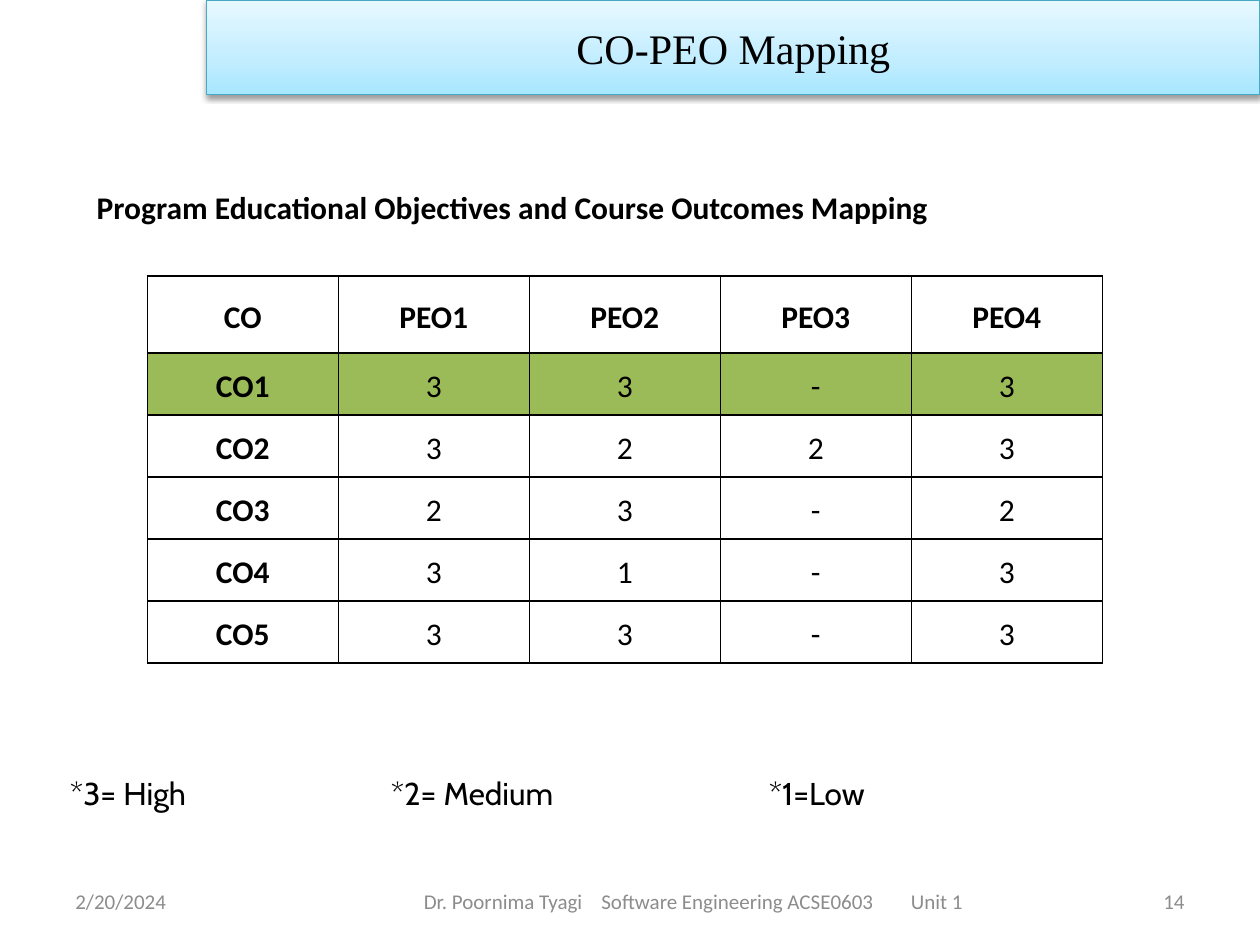
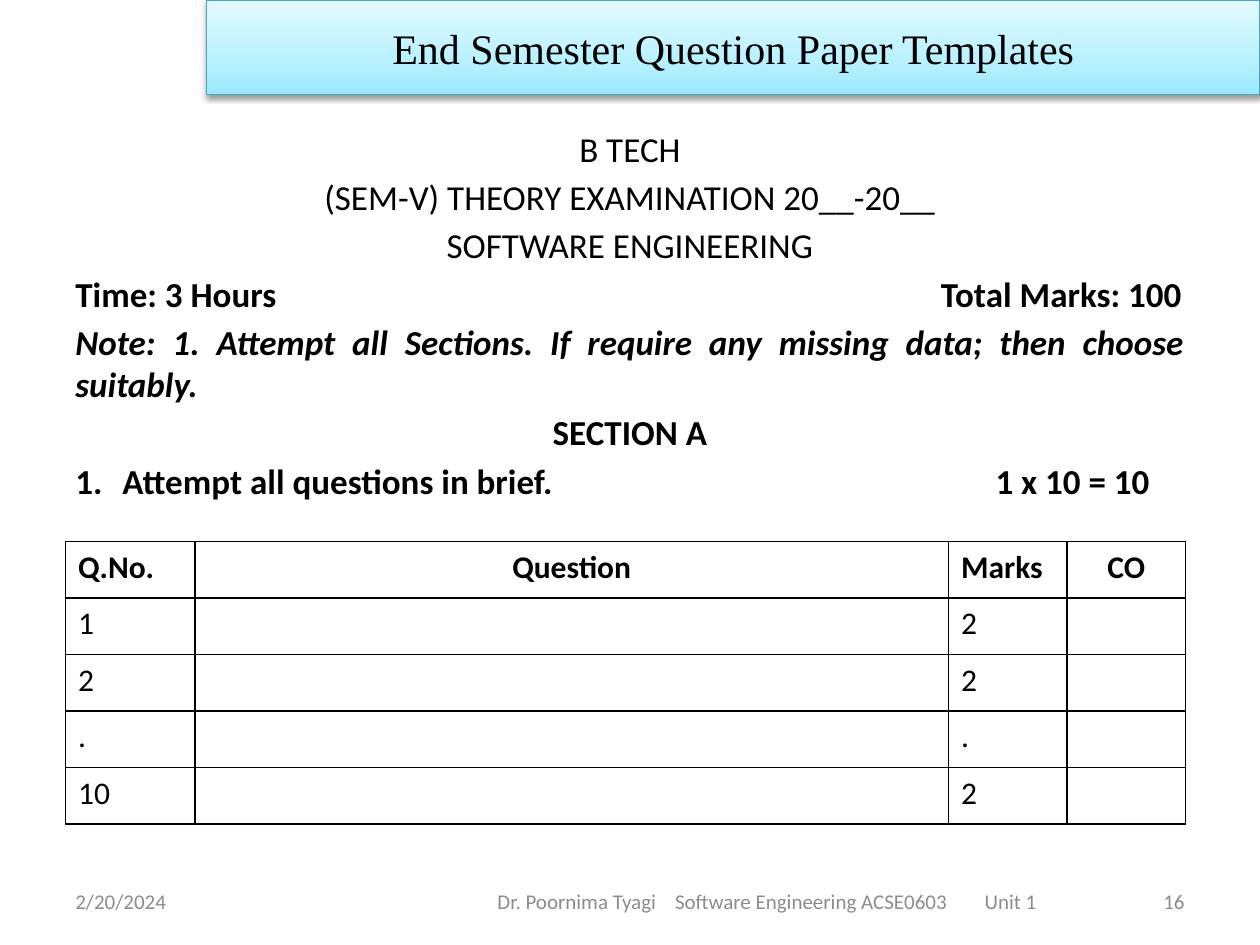
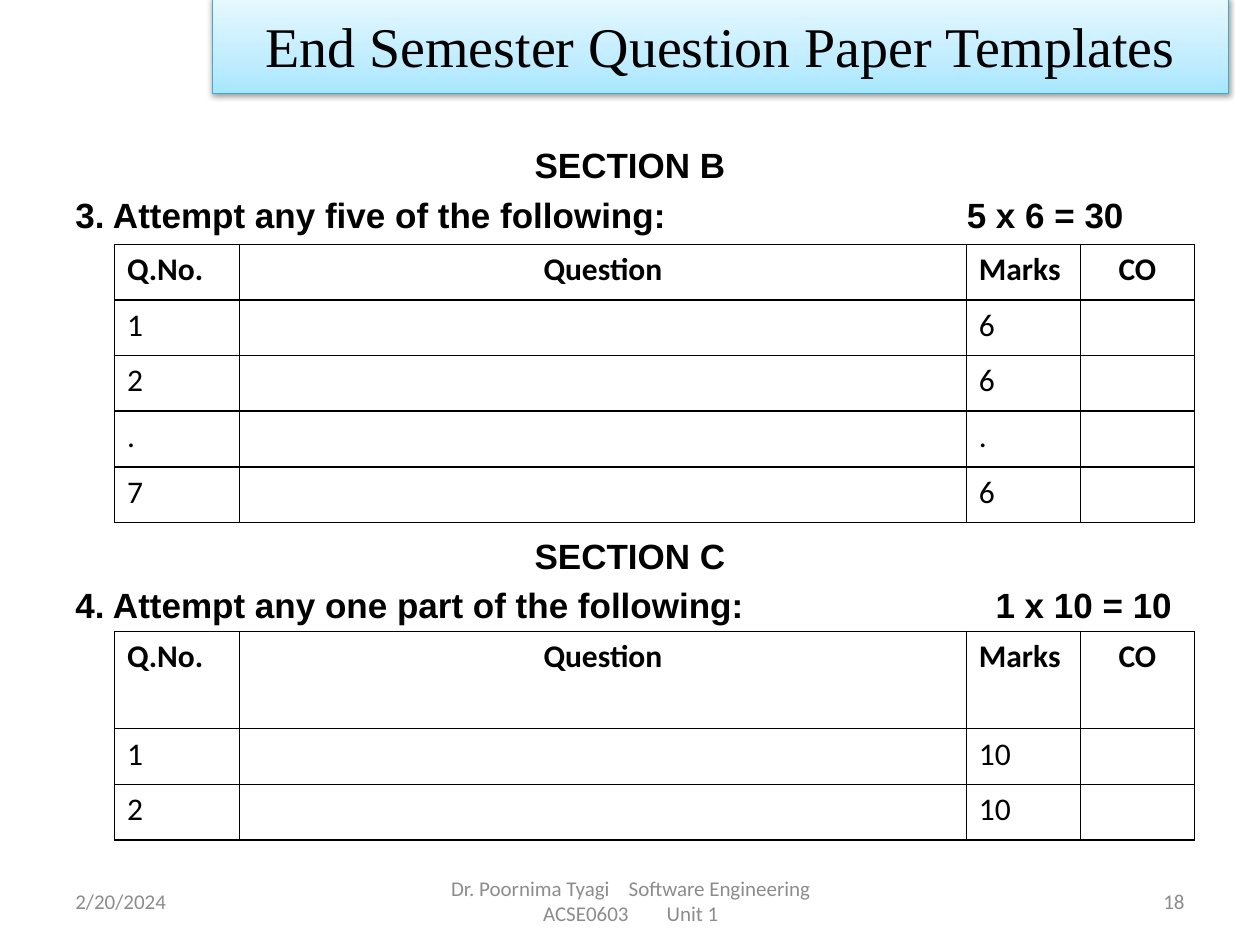
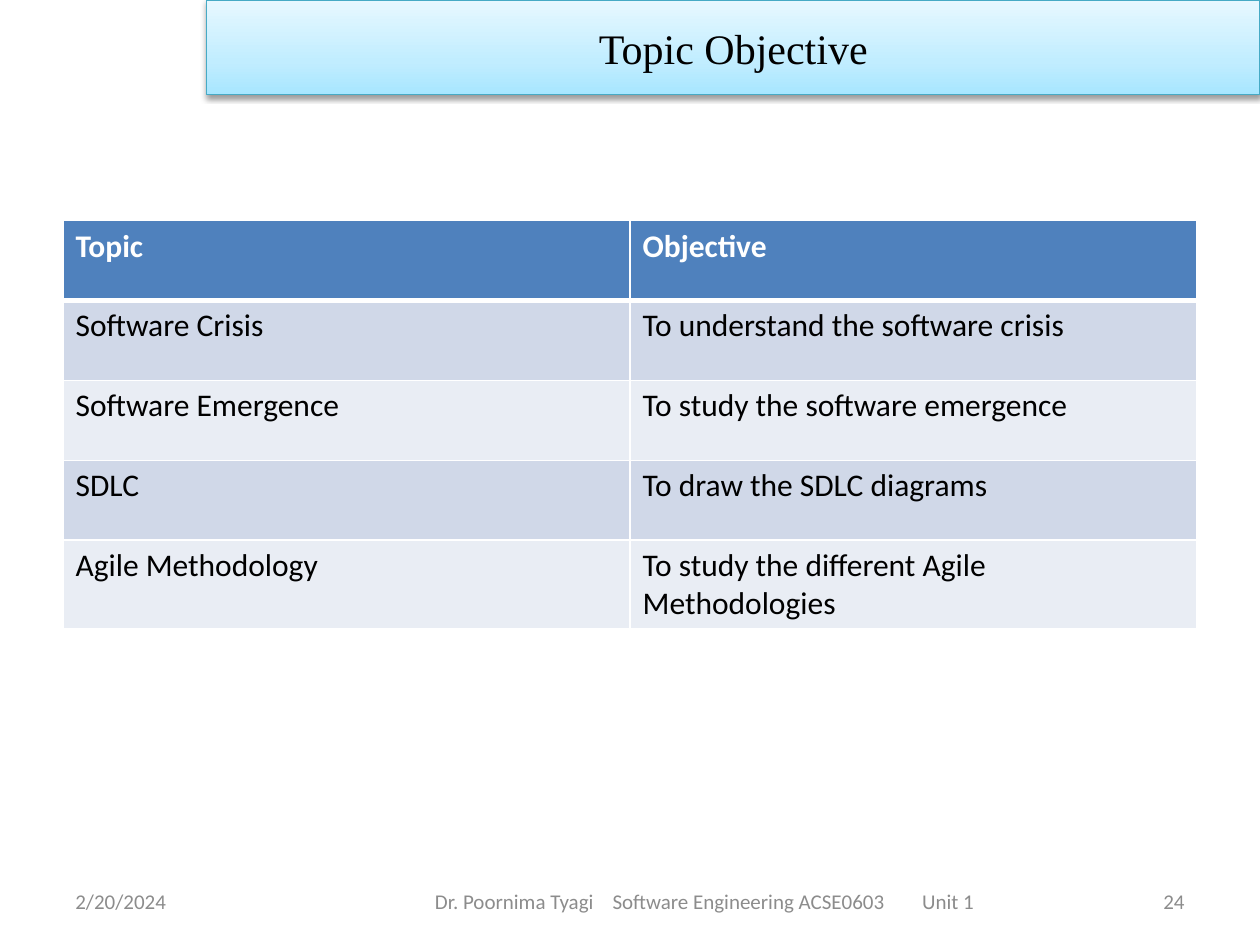
from copy import deepcopy

from lxml.etree import SubElement
from pptx import Presentation
from pptx.dml.color import RGBColor
from pptx.enum.shapes import MSO_SHAPE
from pptx.enum.text import MSO_ANCHOR, PP_ALIGN
from pptx.oxml.ns import qn
from pptx.util import Cm, Pt

rgb = RGBColor.from_string
LEFT, CENTER, RIGHT, JUSTIFY = PP_ALIGN.LEFT, PP_ALIGN.CENTER, PP_ALIGN.RIGHT, PP_ALIGN.JUSTIFY
MIDDLE = MSO_ANCHOR.MIDDLE
BLACK, WHITE, GREY = "000000", "FFFFFF", "8C8C8C"
SKY = ("A7E6FF", "C1EDFF", "E7F8FF")
AQUA = ("9BE9FF", "B8F1FF", "E2FBFF")
WIDE_BAND = (4.17, 0, 21.23, 1.91)
EXAM_TITLE = "End Semester Question Paper Templates"
COURSE = "Dr. Poornima Tyagi\tSoftware Engineering ACSE0603\tUnit 1"
COURSE_TABS = [(2.49, "l"), (3.58, "l"), (9.82, "l")]


def write(paragraph, text, size=18, face="Calibri", color=BLACK, bold=False, align=LEFT, tabs=()):
    paragraph.text = text
    paragraph.alignment = align
    if tabs:
        tab_list = SubElement(paragraph._p.get_or_add_pPr(), qn("a:tabLst"))
        for position, kind in tabs:
            SubElement(tab_list, qn("a:tab"), pos=str(Cm(position)), algn=kind)
    font = paragraph.font
    font.size, font.name, font.bold = Pt(size), face, bold
    font.color.rgb = rgb(color)


def add_grid(slide, left, top, widths, heights, rows, fills, border=BLACK, header_color=BLACK, header_rule=1):
    frame = slide.shapes.add_table(len(heights), len(widths), Cm(left), Cm(top), Cm(sum(widths)), Cm(sum(heights)))
    table = frame.table
    table.horz_banding = False
    for column, width in zip(table.columns, widths):
        column.width = Cm(width)
    for r, (height, texts) in enumerate(zip(heights, rows)):
        table.rows[r].height = Cm(height)
        for c, text in enumerate(texts):
            cell = table.cell(r, c)
            properties = cell._tc.get_or_add_tcPr()
            for edge in ("lnL", "lnR", "lnT", "lnB"):
                under_header = (r, edge) in ((0, "lnB"), (1, "lnT"))
                weight = Pt(header_rule if under_header else 1)
                line = SubElement(properties, qn(f"a:{edge}"), w=str(weight))
                SubElement(SubElement(line, qn("a:solidFill")), qn("a:srgbClr"), val=border)
            cell.fill.solid()
            cell.fill.fore_color.rgb = rgb(fills[r])
            if text:
                write(cell.text_frame.paragraphs[0], text, color=BLACK if r else header_color, bold=r == 0)
    return table


deck = Presentation()
deck.slide_width, deck.slide_height = Cm(25.4), Cm(19.05)

pages = []
for title, title_size, number, band_place, tints, edge_color, course_left, course_width in (
    ("CO-PEO Mapping", 24, "14", WIDE_BAND, SKY, "46AAC5", 6.99, 13.97),
    (EXAM_TITLE, 24, "16", WIDE_BAND, AQUA, "45A9C4", 8.69, 13.54),
    (EXAM_TITLE, 32, "18", (4.29, -0.05, 20.47, 1.93), SKY, "46AAC5", 8.69, 8.05),
    ("Topic Objective", 24, "24", WIDE_BAND, SKY, "46AAC5", 6.76, 14.88),
):
    page = deck.slides.add_slide(deck.slide_layouts[6])
    pages.append(page)
    band = page.shapes.add_shape(MSO_SHAPE.RECTANGLE, *map(Cm, band_place))
    band.fill.gradient()
    band.fill.gradient_angle = 90
    stops = band._element.spPr.find(f".//{qn('a:gsLst')}")
    stops.append(deepcopy(stops[-1]))
    for stop, position, tint in zip(band.fill.gradient_stops, (0, 0.35, 1), tints):
        stop.position = position
        stop.color.rgb = rgb(tint)
    band.line.color.rgb = rgb(edge_color)
    band.line.width = Pt(0.75)
    band.shadow.inherit = False
    effects = band._element.spPr.find(qn("a:effectLst"))
    shadow = SubElement(effects, qn("a:outerShdw"), blurRad=str(Pt(3.1)), dist=str(Pt(1.6)),
                        dir="5400000", rotWithShape="0")
    SubElement(SubElement(shadow, qn("a:srgbClr"), val=BLACK), qn("a:alpha"), val="38000")
    band.text_frame.vertical_anchor = MIDDLE
    band.text_frame.word_wrap = True
    write(band.text_frame.paragraphs[0], title, title_size, "Times New Roman", align=CENTER)

    for left, width, text, align, tabs in (
        (1.27, 5.92, "2/20/2024", LEFT, ()),
        (course_left, course_width, COURSE, CENTER, COURSE_TABS),
        (18.21, 5.92, number, RIGHT, ()),
    ):
        footer = page.shapes.add_textbox(Cm(left), Cm(17.65), Cm(width), Cm(1.02)).text_frame
        footer.word_wrap = True
        footer.vertical_anchor = MIDDLE
        write(footer.paragraphs[0], text, 12, color=GREY, align=align, tabs=tabs)

mapping, section_a, sections_b_c, objectives = pages

heading = mapping.shapes.add_textbox(Cm(1.19), Cm(3.66), Cm(21.64), Cm(0.89)).text_frame
heading.word_wrap = True
heading.vertical_anchor = MIDDLE
heading.margin_left, heading.margin_bottom = Cm(0.76), 0
write(heading.paragraphs[0], "Program Educational Objectives and Course Outcomes Mapping", bold=True)

legend = mapping.shapes.add_textbox(0, Cm(15.47), Cm(24.82), Cm(1.02)).text_frame
legend.word_wrap = True
legend.vertical_anchor = MIDDLE
legend.margin_left = Cm(1.41)
write(legend.paragraphs[0], "*3= High\t*2= Medium\t*1=Low", face="Cabin", tabs=[(6.47, "l"), (14.09, "l")])

outcomes = [
    ("CO", "PEO1", "PEO2", "PEO3", "PEO4"),
    ("CO1", "3", "3", "-", "3"),
    ("CO2", "3", "2", "2", "3"),
    ("CO3", "2", "3", "-", "2"),
    ("CO4", "3", "1", "-", "3"),
    ("CO5", "3", "3", "-", "3"),
]
outcome_grid = add_grid(mapping, 2.97, 5.56, [3.85] * 5, [1.56] + [1.25] * 5, outcomes,
                        [WHITE, "9BBB59"] + [WHITE] * 4)
for cell in outcome_grid.iter_cells():
    cell.vertical_anchor = MIDDLE
    cell.margin_left = cell.margin_right = Cm(0.18)
    cell.margin_top = cell.margin_bottom = 0
    paragraph = cell.text_frame.paragraphs[0]
    paragraph.alignment = CENTER
    paragraph.line_spacing = 1.15
for r in range(1, len(outcomes)):
    outcome_grid.cell(r, 0).text_frame.paragraphs[0].font.bold = True

for page, top, height, face, lines in (
    (section_a, 2.44, 14.17, "Calibri", (
        ("B TECH", CENTER, False, 0, ()),
        ("(SEM-V) THEORY EXAMINATION 20__-20__", CENTER, False, 3.6, ()),
        ("SOFTWARE ENGINEERING", CENTER, False, 3.6, ()),
        ("Time: 3 Hours\tTotal Marks: 100", LEFT, True, 3.6, [(22.3, "r")]),
        ("Note: 1. Attempt all Sections. If require any missing data; then choose suitably.",
         JUSTIFY, True, 3.6, ()),
        ("SECTION A", CENTER, True, 3.6, ()),
        ("1.\tAttempt all questions in brief.\t1 x 10 = 10", LEFT, True, 3.6, [(0.95, "l"), (18.55, "l")]),
    )),
    (sections_b_c, 2.77, 13.84, "Arial", (
        ("SECTION B", CENTER, True, 0, ()),
        ("3. Attempt any five of the following:\t5 x 6 = 30", LEFT, True, 4.4, [(17.97, "l")]),
        ("SECTION C", CENTER, True, 170.7, ()),
        ("4. Attempt any one part of the following:\t1 x 10 = 10", LEFT, True, 4.4, [(18.55, "l")]),
    )),
):
    body = page.shapes.add_textbox(Cm(1.27), Cm(top), Cm(22.86), Cm(height)).text_frame
    body.word_wrap = True
    for i, (text, align, bold, gap, tabs) in enumerate(lines):
        paragraph = body.add_paragraph() if i else body.paragraphs[0]
        write(paragraph, text, 20, face, bold=bold, align=align, tabs=tabs)
        paragraph.space_before = Pt(gap)
        paragraph.font.italic = text.startswith("Note")

for page, left, top, widths, header_height, row_height, questions in (
    (section_a, 1.32, 10.92, [2.61, 15.19, 2.39, 2.39], 1.14, 1.14, (("1", "2"), ("2", "2"), (".", "."), ("10", "2"))),
    (sections_b_c, 2.31, 4.93, [2.52, 14.65, 2.3, 2.3], 1.12, 1.12, (("1", "6"), ("2", "6"), (".", "."), ("7", "6"))),
    (sections_b_c, 2.31, 12.73, [2.52, 14.65, 2.3, 2.3], 1.96, 1.12, (("1", "10"), ("2", "10"))),
):
    rows = [("Q.No.", "Question", "Marks", "CO")] + [(label, "", marks, "") for label, marks in questions]
    heights = [header_height] + [row_height] * len(questions)
    question_grid = add_grid(page, left, top, widths, heights, rows, [WHITE] * len(rows))
    for c in (1, 3):
        question_grid.cell(0, c).text_frame.paragraphs[0].alignment = CENTER

topics = [
    ("Topic", "Objective"),
    ("Software Crisis", "To understand the software crisis"),
    ("Software Emergence", "To study the software emergence"),
    ("SDLC", "To draw the SDLC diagrams"),
    ("Agile Methodology", "To study the different Agile Methodologies"),
]
add_grid(objectives, 1.27, 4.45, [11.43] * 2, [1.61] * 4 + [1.78], topics,
         ["4F81BD"] + ["D0D8E8", "E9EDF4"] * 2, WHITE, WHITE, 3)

deck.save("out.pptx")
